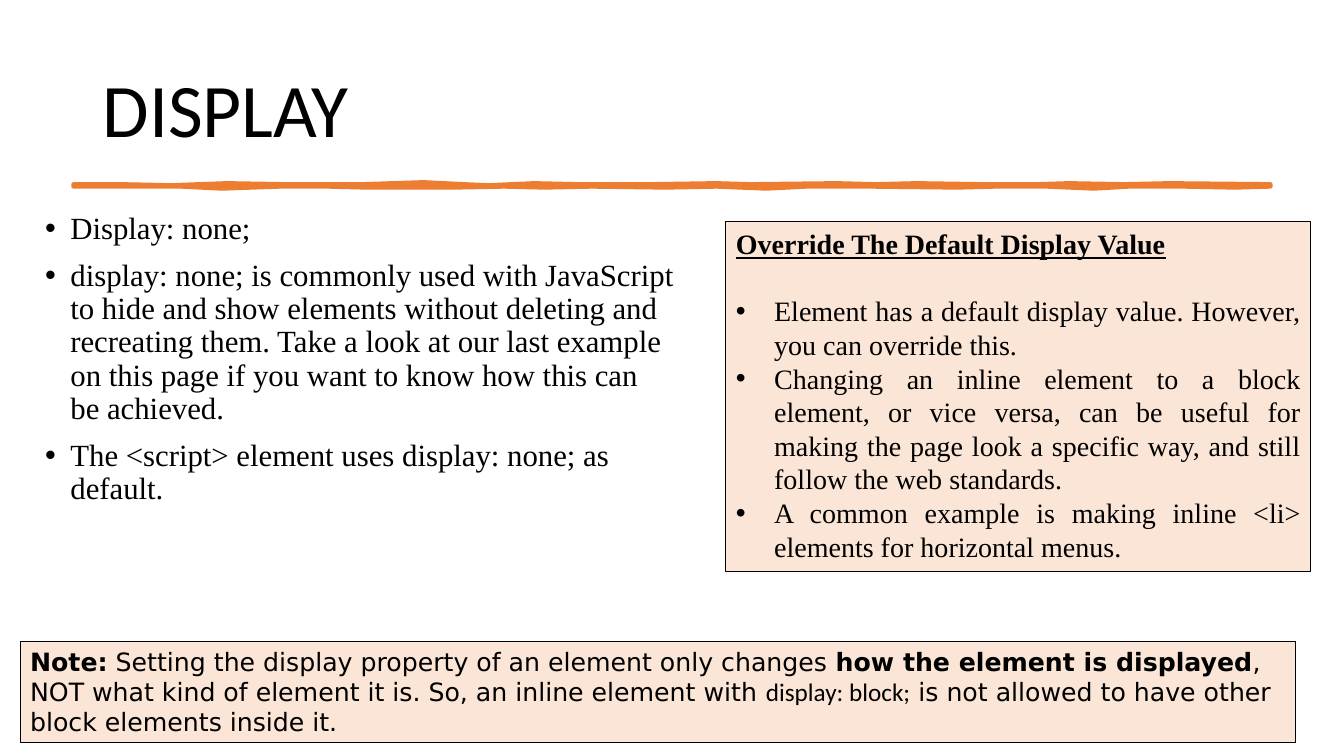
"""Build the slide on the CSS display property."""
from pptx import Presentation
from pptx.dml.color import RGBColor
from pptx.enum.shapes import MSO_SHAPE as Shape
from pptx.enum.text import MSO_ANCHOR as Anchor, MSO_AUTO_SIZE as AutoSize, PP_ALIGN as Align
from pptx.oxml.ns import qn
from pptx.util import Inches, Pt
from lxml import etree

BLACK = RGBColor(0x00, 0x00, 0x00)
ORANGE = RGBColor(0xED, 0x7D, 0x31)
PEACH = RGBColor(0xFB, 0xE5, 0xD6)
SERIF, SANS, NOTE_FONT = "Times New Roman", "Calibri", "DejaVu Sans"


def style(font, name, size, bold=False):
    font.name, font.size, font.bold = name, Pt(size), bold
    font.color.rgb = BLACK


def add_bullet(paragraph, indent):
    properties = paragraph._p.get_or_add_pPr()
    properties.set("marL", str(Inches(indent)))
    properties.set("indent", str(-Inches(indent)))
    etree.SubElement(properties, qn("a:buFont")).set("typeface", "Arial")
    etree.SubElement(properties, qn("a:buChar")).set("char", "•")


prs = Presentation()
prs.slide_width, prs.slide_height = Inches(13.33), Inches(7.5)
slide = prs.slides.add_slide(prs.slide_layouts[6])
shapes = slide.shapes

title = shapes.add_textbox(Inches(0.92), Inches(0.4), Inches(11.5), Inches(1.45)).text_frame
title.word_wrap = True
title.vertical_anchor = Anchor.MIDDLE
title.text = "DISPLAY"
title.paragraphs[0].line_spacing = 0.9
style(title.paragraphs[0].font, SANS, 54)

upper_edge = [(0.73, 1.83), (1.2, 1.83), (1.7, 1.84), (2.25, 1.82), (2.84, 1.83), (3.6, 1.83),
              (4.2, 1.81), (4.6, 1.83), (4.85, 1.84), (5.3, 1.82), (5.72, 1.83), (6.46, 1.83),
              (7.1, 1.82), (7.44, 1.83), (8.3, 1.82), (8.68, 1.83), (9.1, 1.82), (9.75, 1.83),
              (10.29, 1.83), (10.6, 1.82), (11.15, 1.83), (11.6, 1.82), (12.6, 1.83)]
lower_edge = [(12.6, 1.85), (12.25, 1.86), (11.74, 1.85), (11.2, 1.85), (10.85, 1.87),
              (10.38, 1.85), (9.87, 1.85), (9.5, 1.86), (8.63, 1.85), (8, 1.85), (7.6, 1.87),
              (7.11, 1.85), (6.6, 1.86), (5.87, 1.85), (5.4, 1.86), (5, 1.85), (4.5, 1.86),
              (4.14, 1.86), (3.64, 1.86), (3.25, 1.85), (2.78, 1.85), (2.2, 1.87),
              (1.8, 1.85), (1.3, 1.85), (0.73, 1.85)]
outline = [(Inches(x), Inches(y)) for x, y in upper_edge + lower_edge]
builder = shapes.build_freeform(*outline[0])
builder.add_line_segments(outline[1:], close=True)
brush_stroke = builder.convert_to_shape()
brush_stroke.shadow.inherit = False
brush_stroke.fill.solid()
brush_stroke.fill.fore_color.rgb = ORANGE
brush_stroke.line.color.rgb = ORANGE
brush_stroke.line.width = Pt(3.25)

none_points = [
    "Display: none;",
    "display: none; is commonly used with JavaScript to hide and show elements without deleting "
    "and recreating them. Take a look at our last example on this page if you want to know how "
    "this can be achieved.",
    "The <script> element uses display: none; as default. ",
]
body = shapes.add_textbox(Inches(0.35), Inches(2.06), Inches(6.43), Inches(4.12)).text_frame
body.word_wrap = True
for number, point in enumerate(none_points):
    paragraph = body.add_paragraph() if number else body.paragraphs[0]
    paragraph.text = point
    paragraph.line_spacing = 0.9
    if number:
        paragraph.space_before = Pt(10)
    add_bullet(paragraph, 0.25)
    style(paragraph.font, SERIF, 22)

panels = []
for left, top, width, height in [(7.2, 2.2, 5.8, 3.47), (0.2, 6.36, 12.65, 1.01)]:
    panel = shapes.add_shape(Shape.RECTANGLE, Inches(left), Inches(top), Inches(width), Inches(height))
    panel.shadow.inherit = False
    panel.fill.solid()
    panel.fill.fore_color.rgb = PEACH
    panel.line.color.rgb = BLACK
    panel.line.width = Pt(0.75)
    panel.text_frame.word_wrap = True
    panel.text_frame.vertical_anchor = Anchor.TOP
    panel.text_frame.auto_size = AutoSize.SHAPE_TO_FIT_TEXT
    panels.append(panel.text_frame)
override, note = panels

heading = override.paragraphs[0]
heading.text = "Override The Default Display Value"
heading.alignment = Align.JUSTIFY
heading.space_after = Pt(24)
style(heading.font, SERIF, 20, bold=True)
heading.font.underline = True
override_points = [
    "Element has a default display value. However, you can override this.",
    "Changing an inline element to a block element, or vice versa, can be useful for making the "
    "page look a specific way, and still follow the web standards.",
    "A common example is making inline <li> elements for horizontal menus.",
]
for point in override_points:
    paragraph = override.add_paragraph()
    paragraph.text = point
    paragraph.alignment = Align.JUSTIFY
    add_bullet(paragraph, 0.38)
    style(paragraph.font, SERIF, 20)

note_parts = [
    ("Note:", NOTE_FONT, True),
    (" Setting the display property of an element only changes ", NOTE_FONT, False),
    ("how the element is displayed", NOTE_FONT, True),
    (", NOT what kind of element it is. So, an inline element with ", NOTE_FONT, False),
    ("display: block;", SANS, False),
    (" is not allowed to have other block elements inside it.", NOTE_FONT, False),
]
note.paragraphs[0].alignment = Align.LEFT
for words, font_name, bold in note_parts:
    run = note.paragraphs[0].add_run()
    run.text = words
    style(run.font, font_name, 18, bold)

prs.save("out.pptx")
